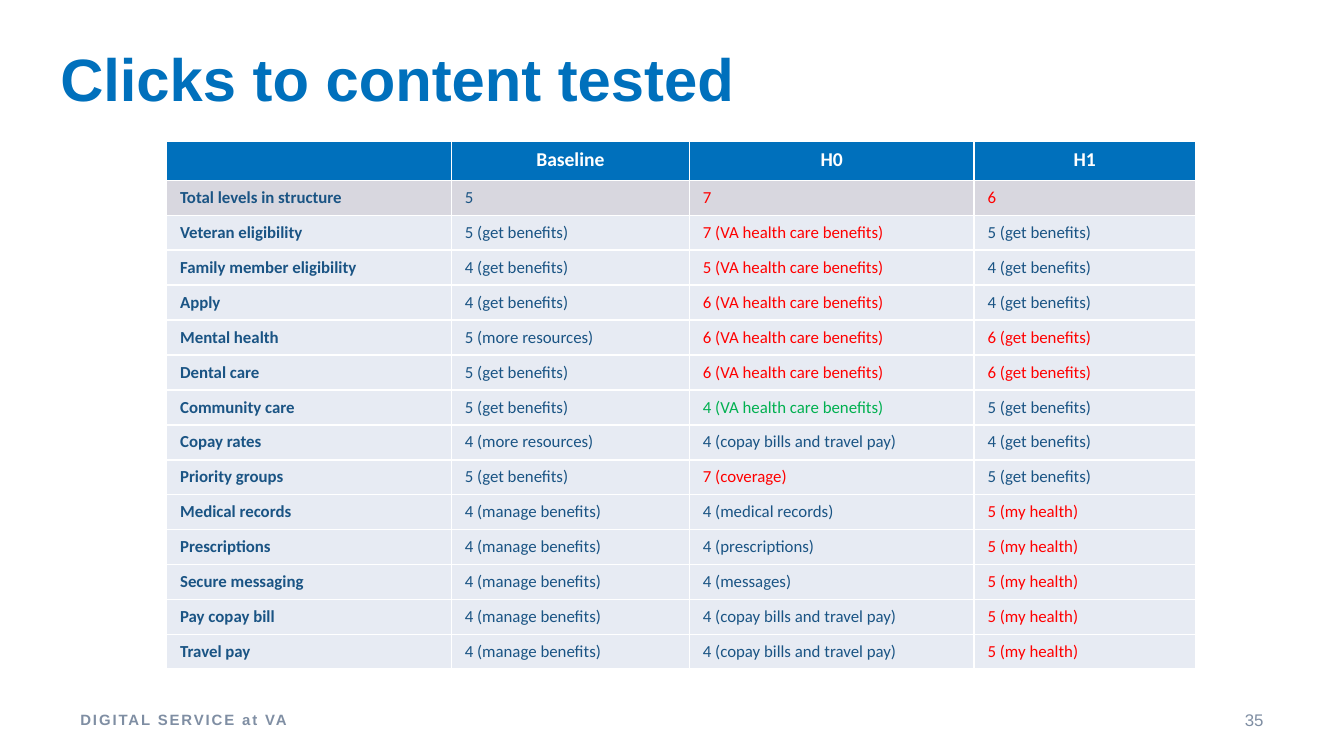
from pptx import Presentation
from pptx.dml.color import RGBColor
from pptx.enum.text import MSO_ANCHOR as ANCHOR, PP_ALIGN as ALIGN
from pptx.oxml import parse_xml
from pptx.oxml.ns import nsdecls
from pptx.util import Cm, Pt

BLUE, NAVY, GREY, WHITE = "0070BC", "1A5484", "7F8EA3", "FFFFFF"
RED, GREEN = "FF0000", "00B050"
TOTAL_FILL, BODY_FILL = "D8D7DF", "E7EBF3"


def rgb(value):
    return RGBColor.from_string(value)


def write(p, text, color, **fmt):
    r = p.add_run()
    r.text = text
    r.font.color.rgb = rgb(color)
    for name, value in fmt.items():
        setattr(r.font, name, value)
    return r


prs = Presentation()
prs.slide_width, prs.slide_height = Cm(25.4), Cm(14.29)
s = prs.slides.add_slide(prs.slide_layouts[6])

# Title, footer and slide number
texts = [
    ("Clicks to content tested", (0.89, 0.61, 23.95, 1.7), ALIGN.LEFT, BLUE,
     {"size": Pt(32), "bold": True}, 0),
    ("DIGITAL SERVICE at VA", (1.27, 13.23, 5.72, 0.76), ALIGN.LEFT, GREY,
     {"size": Pt(8), "bold": True}, 100),
    ("35", (22.23, 13.23, 1.9, 0.76), ALIGN.RIGHT, GREY, {"size": Pt(9)}, 0),
]
for text, box, align, color, fmt, spacing in texts:
    tf = s.shapes.add_textbox(*map(Cm, box)).text_frame
    tf.word_wrap = True
    tf.vertical_anchor = ANCHOR.MIDDLE
    p = tf.paragraphs[0]
    p.alignment = align
    r = write(p, text, color, name="Arial", **fmt)
    if spacing:
        r.font._element.set("spc", str(spacing))

# Table contents
header = ["", "Baseline", "H0", "H1"]
get, manage, more = "(get benefits)", "(manage benefits)", "(more resources)"
care, copay, health = "(VA health care benefits)", "(copay bills and travel pay)", "(my health)"
rows = [
    ("Total levels in structure", "5", "7", "6"),
    ("Veteran eligibility", f"5 {get}", f"7 {care}", f"5 {get}"),
    ("Family member eligibility", f"4 {get}", f"5 {care}", f"4 {get}"),
    ("Apply", f"4 {get}", f"6 {care}", f"4 {get}"),
    ("Mental health", f"5 {more}", f"6 {care}", f"6 {get}"),
    ("Dental care", f"5 {get}", f"6 {care}", f"6 {get}"),
    ("Community care", f"5 {get}", f"4 {care}", f"5 {get}"),
    ("Copay rates", f"4 {more}", f"4 {copay}", f"4 {get}"),
    ("Priority groups", f"5 {get}", "7 (coverage)", f"5 {get}"),
    ("Medical records", f"4 {manage}", "4 (medical records)", f"5 {health}"),
    ("Prescriptions", f"4 {manage}", "4 (prescriptions)", f"5 {health}"),
    ("Secure messaging", f"4 {manage}", "4 (messages)", f"5 {health}"),
    ("Pay copay bill", f"4 {manage}", f"4 {copay}", f"5 {health}"),
    ("Travel pay", f"4 {manage}", f"4 {copay}", f"5 {health}"),
]

# Table grid
col_widths, header_height, row_height = [5.38, 4.5, 5.38, 4.18], 0.74, 0.66
table = s.shapes.add_table(
    len(rows) + 1, len(header), Cm(3.15), Cm(2.67),
    Cm(sum(col_widths)), Cm(header_height + row_height * len(rows))).table
for col, width in zip(table.columns, col_widths):
    col.width = Cm(width)
for i, row in enumerate(table.rows):
    row.height = Cm(row_height if i else header_height)

# Cells: more clicks than the baseline in red, fewer in green
for i, values in enumerate([header, *rows]):
    for j, text in enumerate(values):
        cell = table.cell(i, j)
        p = cell.text_frame.paragraphs[0]
        color, size, fill = NAVY, 9, BODY_FILL
        if i == 0:
            color, size, fill = WHITE, 10.5, BLUE
            p.alignment = ALIGN.CENTER
        else:
            cell.vertical_anchor = ANCHOR.MIDDLE
            if i == 1:
                fill = TOTAL_FILL
            if j > 1:
                change = int(text[0]) - int(values[1][0])
                color = RED if change > 0 else GREEN if change < 0 else NAVY
        if text:
            write(p, text, color, name="Calibri", size=Pt(size), bold=i == 0 or j == 0)
        else:
            p._p.get_or_add_endParaRPr().set("sz", str(int(size * 100)))

        # White borders come before the fill in the cell properties
        tcPr = cell._tc.get_or_add_tcPr()
        for side in ("lnL", "lnR", "lnT", "lnB"):
            tcPr.append(parse_xml(
                f'<a:{side} {nsdecls("a")} w="12700"><a:solidFill>'
                f'<a:srgbClr val="{WHITE}"/></a:solidFill></a:{side}>'))
        cell.fill.solid()
        cell.fill.fore_color.rgb = rgb(fill)

prs.save("out.pptx")
